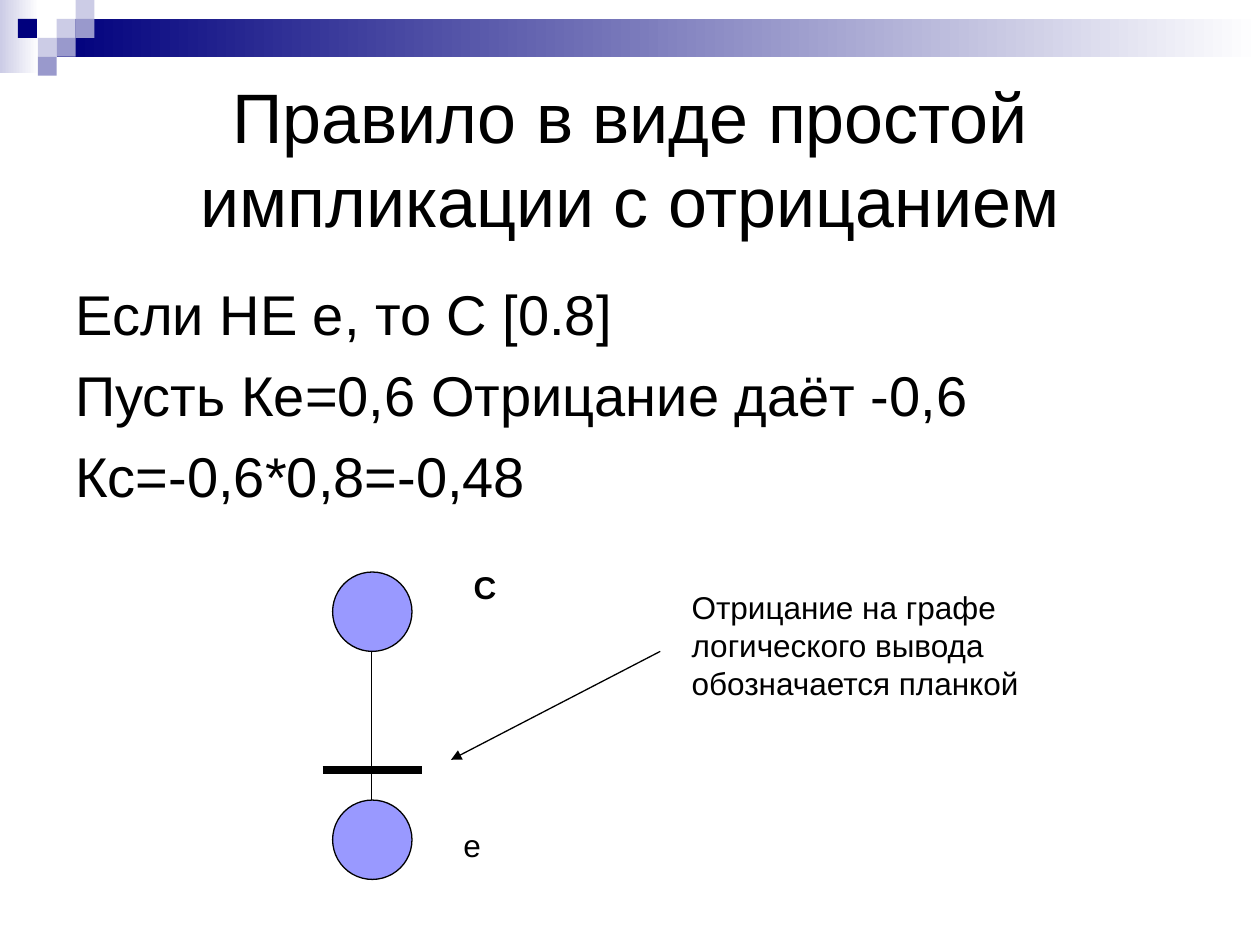
"""Build a slide on a simple implication rule with negation."""
import pptx
import pptx.dml.color
import pptx.enum.shapes
import pptx.enum.text
import pptx.oxml
import pptx.oxml.ns
import pptx.util

Inches = pptx.util.Inches
Pt = pptx.util.Pt
RGBColor = pptx.dml.color.RGBColor
Shape = pptx.enum.shapes.MSO_SHAPE
Align = pptx.enum.text.PP_ALIGN
Anchor = pptx.enum.text.MSO_ANCHOR
Size = pptx.enum.text.MSO_AUTO_SIZE

BLACK = RGBColor(0x00, 0x00, 0x00)
WHITE = RGBColor(0xFF, 0xFF, 0xFF)
NAVY = RGBColor(0x00, 0x00, 0x7D)
PALE = RGBColor(0xCC, 0xCC, 0xE6)
MID = RGBColor(0x99, 0x99, 0xCC)
LILAC = RGBColor(0x99, 0x99, 0xFF)

TILE = 0.15
TILES = [(3, 1, PALE), (4, 0, PALE), (4, 1, MID), (2, 2, PALE),
         (0.95, 1, NAVY), (3, 2, MID), (2, 3, MID)]
RULES = ["Если НЕ е, то С [0.8]",
         "Пусть Ке=0,6 Отрицание даёт -0,6",
         "Кс=-0,6*0,8=-0,48"]


def add_box(slide, kind, left, top, width, height):
    shape = slide.shapes.add_shape(kind, Inches(left), Inches(top),
                                   Inches(width), Inches(height))
    shape.shadow.inherit = False
    return shape


def add_tile(slide, col, row, color):
    tile = add_box(slide, Shape.RECTANGLE, col * TILE, row * TILE, TILE, TILE)
    tile.fill.solid()
    tile.fill.fore_color.rgb = color
    tile.line.fill.background()


def add_fade(slide, left, top, width, height, color):
    band = add_box(slide, Shape.RECTANGLE, left, top, width, height)
    band.fill.gradient()
    band.fill.gradient_angle = 0
    for stop, tone in zip(band.fill.gradient_stops, (color, WHITE)):
        stop.color.rgb = tone
    band.line.fill.background()


def add_node(slide, left, top):
    node = add_box(slide, Shape.OVAL, left, top, 0.63, 0.63)
    node.fill.solid()
    node.fill.fore_color.rgb = LILAC
    node.line.color.rgb = BLACK
    node.line.width = Pt(0.75)


def add_line(slide, start, end, width=0.75, arrow=False):
    line = slide.shapes.add_connector(
        pptx.enum.shapes.MSO_CONNECTOR.STRAIGHT,
        *(Inches(n) for n in start + end))
    line.line.color.rgb = BLACK
    line.line.width = Pt(width)
    if arrow:
        head = pptx.oxml.parse_xml(
            f'<a:tailEnd {pptx.oxml.ns.nsdecls("a")} type="triangle"/>')
        line.line._get_or_add_ln().append(head)
    props = line._element.spPr
    props.append(pptx.oxml.parse_xml(
        f'<a:effectLst {pptx.oxml.ns.nsdecls("a")}/>'))


def style(para, size, bold=False):
    para.font.name = "Arial"
    para.font.size = Pt(size)
    para.font.bold = bold
    para.font.color.rgb = BLACK


def add_text(slide, left, top, width, height, lines, size=18, bold=False):
    box = slide.shapes.add_textbox(Inches(left), Inches(top),
                                   Inches(width), Inches(height))
    frame = box.text_frame
    frame.word_wrap = True
    frame.text = "\n".join(lines)
    for para in frame.paragraphs:
        style(para, size, bold)
    for para in frame.paragraphs[1:]:
        para.space_before = Pt(8)


def set_title(slide, text):
    title = slide.shapes.title
    title.left, title.top = Inches(0.5), Inches(0.5)
    title.width, title.height = Inches(9), Inches(1.5)
    frame = title.text_frame
    frame.text = text
    frame.word_wrap = True
    frame.auto_size = Size.NONE
    frame.vertical_anchor = Anchor.MIDDLE
    para = frame.paragraphs[0]
    para.alignment = Align.CENTER
    style(para, 40)


def main():
    deck = pptx.Presentation()
    deck.slide_width, deck.slide_height = Inches(10), Inches(7.5)
    slide = deck.slides.add_slide(deck.slide_layouts[5])

    add_fade(slide, 0, 0, 0.31, 0.58, PALE)
    add_fade(slide, 0.45, 0.15, 9.55, 0.3, NAVY)
    for col, row, color in TILES:
        add_tile(slide, col, row, color)

    set_title(slide, "Правило в виде простой импликации с отрицанием")
    add_text(slide, 0.5, 2.17, 9, 4.73, RULES, size=32)

    for top in (4.54, 6.35):
        add_node(slide, 2.64, top)
    add_line(slide, (2.95, 5.17), (2.95, 6.35))
    add_line(slide, (2.56, 6.11), (3.35, 6.11), width=4.5)
    add_text(slide, 3.58, 6.51, 0.94, 0.4, ["е"])
    add_text(slide, 3.66, 4.46, 0.79, 0.4, ["С"], bold=True)
    add_text(slide, 5.39, 4.62, 3.15, 1,
             ["Отрицание на графе логического вывода обозначается планкой"])
    add_line(slide, (5.24, 5.17), (3.58, 6.03), arrow=True)

    deck.save("out.pptx")


if __name__ == "__main__":
    main()
